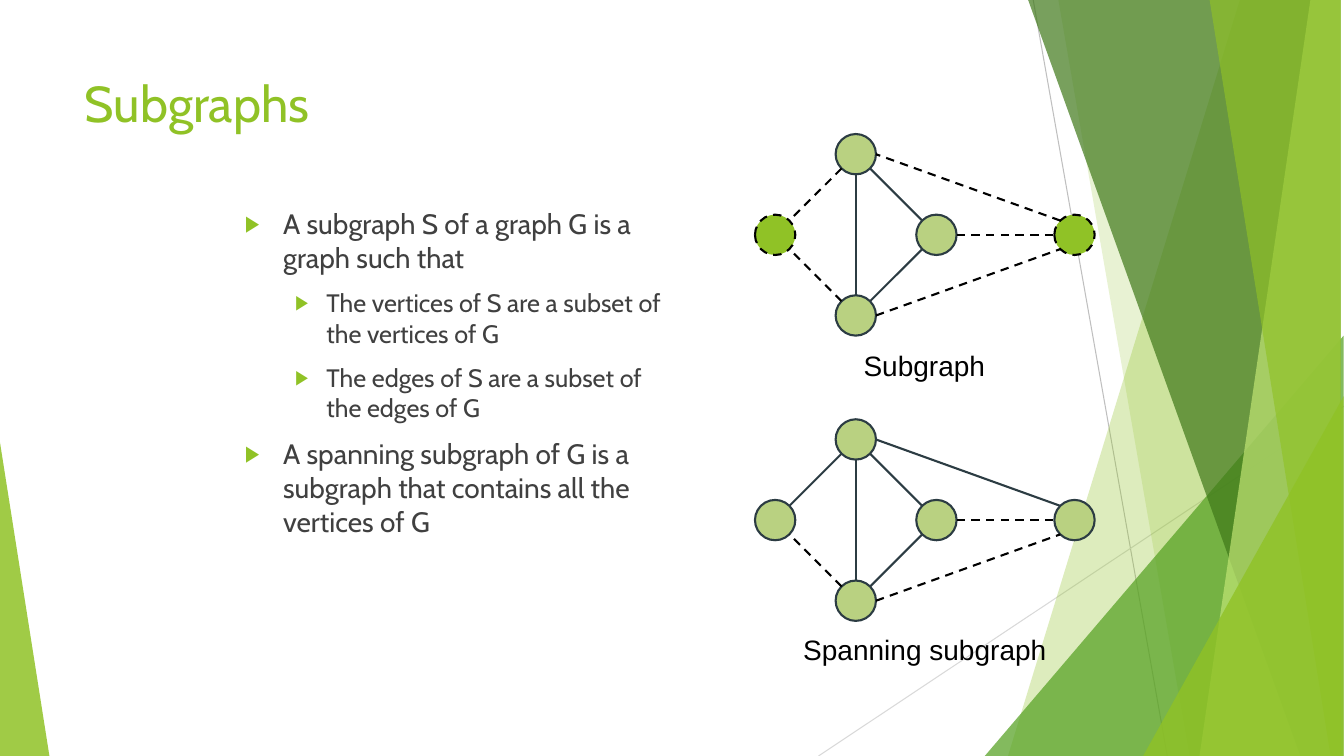
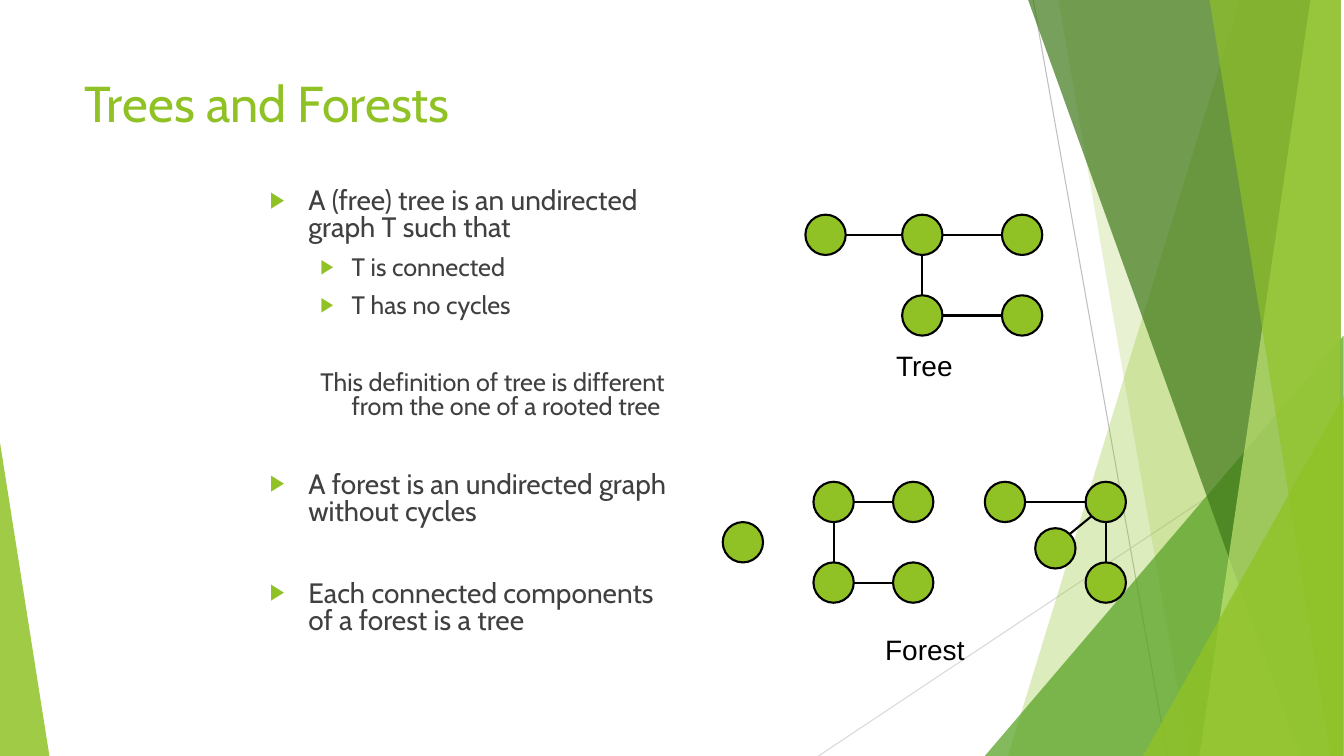
"""Build two slides on subgraphs, trees and forests."""
from dataclasses import dataclass
from math import cos, pi, sin
from typing import NamedTuple

from lxml.etree import SubElement
from pptx import Presentation
from pptx.dml.color import RGBColor
from pptx.enum.dml import MSO_LINE
from pptx.enum.shapes import MSO_CONNECTOR, MSO_SHAPE
from pptx.enum.text import MSO_ANCHOR, PP_ALIGN
from pptx.oxml.ns import qn
from pptx.util import Inches, Pt

CELL = Inches(0.1)
COLS, ROWS = 133.33, 75
LIME, SAGE, GREY, BLACK = "90C226", "B9D181", "404040", "000000"
FACE = "Cabin"
SIZE = 4
N, NW, W, SW, S, SE, E, NE = range(8)


class Box(NamedTuple):
    """A place on the grid."""
    x: float
    y: float
    wide: float
    high: float


class Pen(NamedTuple):
    """A stroke."""
    hue: str
    width: float = 1.5
    dash: bool = False


class Band(NamedTuple):
    """A full-height pane from a slanted left side to the slide's right edge."""
    top: float
    foot: float
    hue: str
    alpha: int


class Wedge(NamedTuple):
    """A right triangle on the slide's foot."""
    x: float
    y: float
    wide: float
    lean: float
    hue: str
    alpha: int


class Ray(NamedTuple):
    """A thin backdrop line."""
    x: float
    y: float
    to: float
    hue: str


class Item(NamedTuple):
    """A paragraph of the body."""
    text: str
    level: int = 0
    gap: float = 10
    mark: bool = True


class Dot(NamedTuple):
    """A vertex, placed by its centre."""
    x: float
    y: float
    fill: str
    pen: Pen


class Edge(NamedTuple):
    """A line between compass sites of two vertices."""
    start: str
    out: int
    end: str
    into: int
    pen: Pen


@dataclass(frozen=True)
class Graph:
    """A drawing of vertices and edges."""
    dots: dict[str, Dot]
    edges: list[Edge]


@dataclass(frozen=True)
class Page:
    """The content of one slide."""
    title: str
    body: Box
    pitch: float
    items: list[Item]
    graphs: list[Graph]
    names: tuple[str, str]


INK, SLATE, DASH = Pen(BLACK), Pen("2C3C43"), Pen(BLACK, dash=True)
HEAD = Box(7.4, 6.7, 94, 14.4)
LABELS = (Box(76.1, 34.1, 31.2, 4.3), Box(71.8, 62.3, 39.9, 4.3))
RAYS = (Ray(102.5, 0, 115.8, "BFBFBF"), Ray(COLS, 40.3, 81.2, "D9D9D9"))
PANES = (
    Band(122.8, 100.4, LIME, 30),
    Band(105, 118.3, LIME, 20),
    Wedge(97.7, 33.3, 35.6, 1, "54A021", 72),
    Band(102.1, 129.1, "3F7819", 70),
    Band(130.3, 119.2, "C0E474", 70),
    Band(119.6, 131.8, LIME, 65),
    Wedge(113.4, 39.3, 19.9, 1, LIME, 80),
    Wedge(0, 43.9, 4.9, 0, LIME, 85),
)
KITE = {"left": (76.9, 8), "top": (84.9, 0), "mid": (92.9, 8),
        "low": (84.9, 16), "far": (106.6, 8)}
LINKS = (("top", SW, "left", NE), ("low", NW, "left", SE),
         ("low", NE, "mid", SW), ("top", SE, "mid", NW),
         ("top", S, "low", N), ("mid", E, "far", W),
         ("low", E, "far", SW), ("far", NW, "top", E))


def hue(code: str) -> RGBColor:
    """Turn a hex string into a colour."""
    return RGBColor.from_string(code)


def cells(*sides: float) -> list[int]:
    """Turn grid lengths into slide units."""
    return [round(side * CELL) for side in sides]


def kite(y: float, loose: set[str], cut: set[tuple[str, str]]) -> Graph:
    """Lay out the five-vertex graph with its left-out parts dashed."""
    dots = {key: Dot(x, y + drop, *((LIME, DASH) if key in loose else (SAGE, SLATE)))
            for key, (x, drop) in KITE.items()}
    edges = [Edge(*link, DASH if (link[0], link[2]) in cut else SLATE)
             for link in LINKS]
    return Graph(dots, edges)


def plain(spots: dict[str, tuple[float, float]],
          links: list[tuple[str, int, str, int]]) -> Graph:
    """Lay out a graph in one solid style."""
    return Graph({key: Dot(*spot, LIME, INK) for key, spot in spots.items()},
                 [Edge(*link, INK) for link in links])


def stroke(line, pen: Pen) -> None:
    """Style a line."""
    line.color.rgb = hue(pen.hue)
    line.width = Pt(pen.width)
    if pen.dash:
        line.dash_style = MSO_LINE.DASH


def link(slide, x: float, y: float, to_x: float, to_y: float, pen: Pen) -> None:
    """Draw a straight line."""
    wire = slide.shapes.add_connector(MSO_CONNECTOR.STRAIGHT, *cells(x, y, to_x, to_y))
    stroke(wire.line, pen)
    SubElement(wire.element.spPr, qn("a:effectLst"))


def pane(slide, part: Band | Wedge) -> None:
    """Draw one see-through backdrop pane."""
    if isinstance(part, Band):
        form = slide.shapes.build_freeform(part.top, 0, scale=CELL)
        form.add_line_segments([(COLS, 0), (COLS, ROWS), (part.foot, ROWS)])
        shape = form.convert_to_shape()
    else:
        shape = slide.shapes.add_shape(
            MSO_SHAPE.ISOSCELES_TRIANGLE,
            *cells(part.x, part.y, part.wide, ROWS - part.y))
        shape.adjustments[0] = part.lean
    shape.shadow.inherit = False
    shape.line.fill.background()
    shape.fill.solid()
    shape.fill.fore_color.rgb = hue(part.hue)
    tint = shape.element.xpath("./p:spPr/a:solidFill/a:srgbClr")[0]
    SubElement(tint, qn("a:alpha"), val=str(part.alpha * 1000))


def frame(slide, box: Box):
    """Add a wrapping text box and return its frame."""
    text = slide.shapes.add_textbox(*cells(*box)).text_frame
    text.word_wrap = True
    text.vertical_anchor = MSO_ANCHOR.TOP
    return text


def write(para, text: str, size: float, code: str, face: str = FACE) -> None:
    """Add one run."""
    run = para.add_run()
    run.text = text
    run.font.size = Pt(size)
    run.font.name = face
    run.font.color.rgb = hue(code)


def bullet(para, item: Item) -> None:
    """Set a paragraph's indent and mark."""
    left, hang = ((0.38, 0.38), (0.81, 0.31))[item.level]
    para.level = item.level
    props = para._p.get_or_add_pPr()
    props.set("marL", str(Inches(left)))
    props.set("indent", str(-Inches(hang)))
    if not item.mark:
        SubElement(props, qn("a:buNone"))
        return
    SubElement(SubElement(props, qn("a:buClr")), qn("a:srgbClr"), val=LIME)
    SubElement(props, qn("a:buSzPct"), val="80000")
    SubElement(props, qn("a:buFont"), typeface="Arial")
    SubElement(props, qn("a:buChar"), char="▶")


def prose(slide, page: Page) -> None:
    """Write the body."""
    text = frame(slide, page.body)
    for rank, item in enumerate(page.items):
        para = text.add_paragraph() if rank else text.paragraphs[0]
        bullet(para, item)
        para.line_spacing = page.pitch
        para.space_before = Pt(item.gap if rank else 0)
        write(para, item.text, 18 if item.level else 20, GREY)


def site(dot: Dot, rank: int) -> tuple[float, float]:
    """Find a compass site on a vertex, counted from the top to the left."""
    turn = pi / 2 + rank * pi / 4
    return dot.x + SIZE / 2 * cos(turn), dot.y - SIZE / 2 * sin(turn)


def draw(slide, graph: Graph) -> None:
    """Draw a graph."""
    for dot in graph.dots.values():
        disc = slide.shapes.add_shape(
            MSO_SHAPE.OVAL, *cells(dot.x - SIZE / 2, dot.y - SIZE / 2, SIZE, SIZE))
        disc.shadow.inherit = False
        disc.fill.solid()
        disc.fill.fore_color.rgb = hue(dot.fill)
        stroke(disc.line, dot.pen)
    for edge in graph.edges:
        link(slide, *site(graph.dots[edge.start], edge.out),
             *site(graph.dots[edge.end], edge.into), edge.pen)


def build(deck, page: Page) -> None:
    """Add one slide."""
    slide = deck.slides.add_slide(deck.slide_layouts[6])
    for ray in RAYS:
        link(slide, ray.x, ray.y, ray.to, ROWS, Pen(ray.hue, 0.75))
    for part in PANES:
        pane(slide, part)
    write(frame(slide, HEAD).paragraphs[0], page.title, 36, LIME)
    prose(slide, page)
    for box, name in zip(LABELS, page.names):
        para = frame(slide, box).paragraphs[0]
        para.alignment = PP_ALIGN.CENTER
        write(para, name, 20, BLACK, "Arial")
    for graph in page.graphs:
        draw(slide, graph)


TREE = plain(
    {"a": (81.9, 23.3), "b": (91.5, 23.3), "c": (101.4, 23.3),
     "d": (91.5, 31.3), "e": (101.4, 31.3)},
    [("a", E, "b", W), ("b", E, "c", W), ("b", S, "d", N), ("d", E, "e", W)])
WOOD = plain(
    {"lone": (73.7, 53.8), "a": (82.7, 49.8), "b": (90.6, 49.8),
     "c": (82.7, 57.8), "d": (90.6, 57.8), "e": (99.7, 49.8),
     "hub": (109.7, 49.8), "f": (109.7, 57.8), "g": (104.7, 54.4)},
    [("a", E, "b", W), ("a", S, "c", N), ("c", E, "d", W),
     ("e", E, "hub", W), ("hub", S, "f", N), ("g", NE, "hub", SW)])
PAGES = (
    Page("Subgraphs", Box(23.3, 20, 44.2, 45.8), 1, [
        Item("A subgraph S of a graph G is a graph such that"),
        Item("The vertices of S are a subset of the vertices of G", 1),
        Item("The edges of S are a subset of the edges of G", 1),
        Item("A spanning subgraph of G is a subgraph that contains all the vertices of G"),
    ], [
        kite(15.3, {"left", "far"}, {("top", "left"), ("low", "left"), ("mid", "far"),
                                     ("low", "far"), ("far", "top")}),
        kite(43.6, set(), {("low", "left"), ("mid", "far"), ("low", "far")}),
    ], ("Subgraph", "Spanning subgraph")),
    Page("Trees and Forests", Box(25.8, 18.3, 42.5, 49.2), 0.8, [
        Item("A (free) tree is an undirected graph T such that"),
        Item("T is connected", 1),
        Item("T has no cycles", 1),
        Item("This definition of tree is different from the one of a rooted tree",
             1, 37.5, False),
        Item("A forest is an undirected graph without cycles", gap=37.5),
        Item("Each connected components of a forest is a tree", gap=39.5),
    ], [TREE, WOOD], ("Tree", "Forest")),
)


def main() -> None:
    """Build and save the deck."""
    deck = Presentation()
    deck.slide_width, deck.slide_height = cells(COLS, ROWS)
    for page in PAGES:
        build(deck, page)
    deck.save("out.pptx")


if __name__ == "__main__":
    main()
